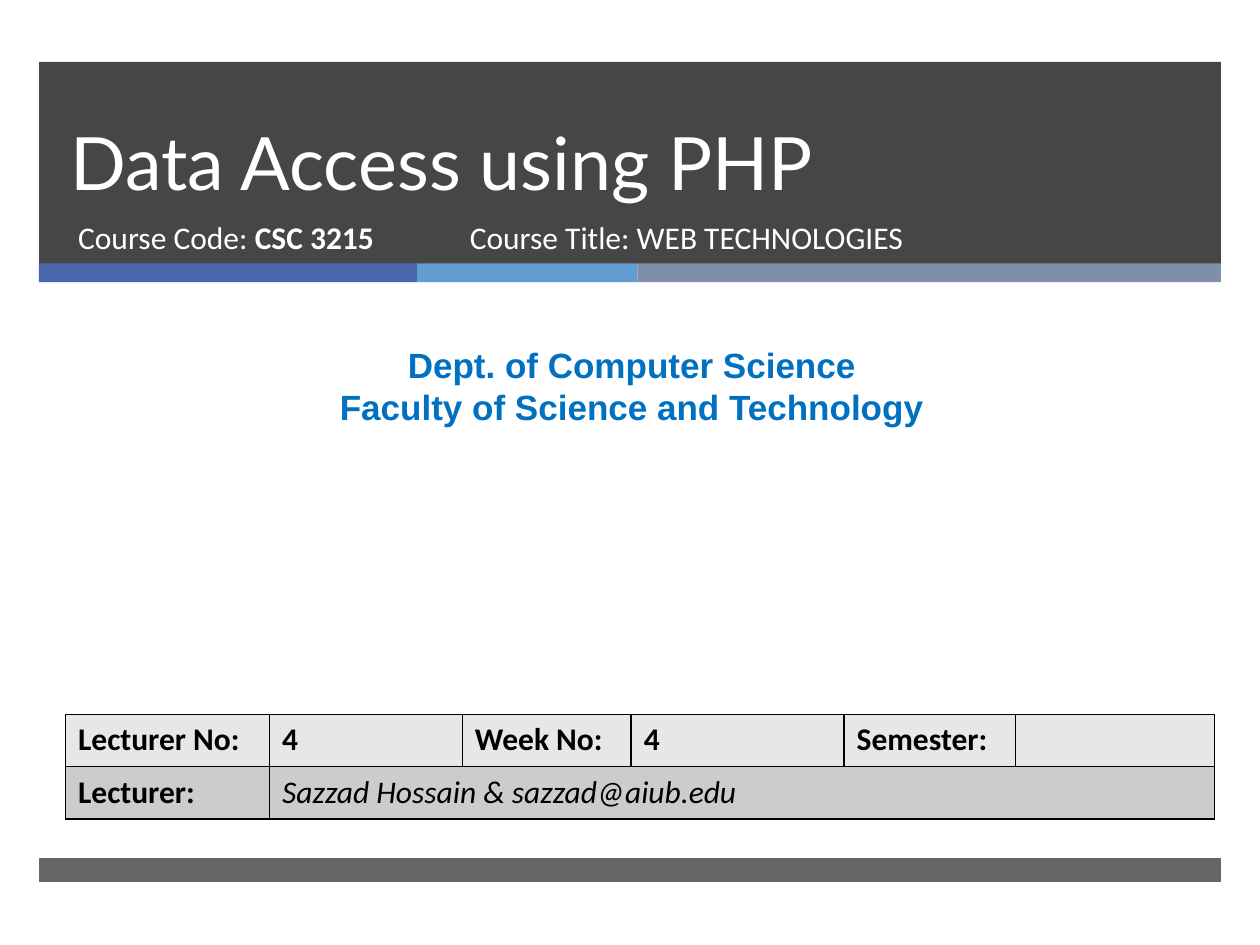
"""Build the title slide of a lecture on data access with PHP."""
import pptx
import pptx.dml.color
import pptx.enum.shapes
import pptx.enum.text
import pptx.oxml
import pptx.oxml.ns
import pptx.util
from pptx.util import Inches

HUES = {"dark": "262626", "blue": "4A66AC", "sky": "629DD1", "slate": "7F8FA9",
        "white": "FFFFFF", "black": "000000", "head": "0070C0",
        "light": "E7E7E7", "grey": "CCCCCC"}
NS = pptx.oxml.ns.nsdecls("a")
ALIGN = pptx.enum.text.PP_ALIGN


def tint(name):
    return pptx.dml.color.RGBColor.from_string(HUES[name])


def style(para, face, size, hue, bold=None, align=ALIGN.LEFT):
    para.alignment = align
    para.space_before = pptx.util.Pt(0)
    font = para.font
    font.name, font.size, font.bold = face, pptx.util.Pt(size), bold
    font.color.rgb = tint(hue)


deck = pptx.Presentation()
deck.slide_width, deck.slide_height = Inches(10), Inches(7.5)
slide = deck.slides.add_slide(deck.slide_layouts[0])
shapes = slide.shapes

bars = [(0.31, 0.49, 9.38, 1.61, "dark", 85), (0.31, 2.09, 3, 0.15, "blue", 100),
        (3.31, 2.09, 1.75, 0.15, "sky", 100), (5.06, 2.09, 4.63, 0.15, "slate", 100),
        (0.31, 6.81, 9.38, 0.19, "dark", 70)]
for spot, (*box, hue, alpha) in enumerate(bars, 2):
    bar = shapes.add_shape(pptx.enum.shapes.MSO_SHAPE.RECTANGLE, *map(Inches, box))
    bar.shadow.inherit = False
    bar.fill.solid()
    bar.fill.fore_color.rgb = tint(hue)
    bar.line.fill.background()
    if alpha < 100:
        color = bar.fill._xPr.find(".//" + pptx.oxml.ns.qn("a:srgbClr"))
        color.append(pptx.oxml.parse_xml(f'<a:alpha {NS} val="{alpha * 1000}"/>'))
    shapes._spTree.insert(spot, bar._element)

title, code = shapes.title, slide.placeholders[1]
dept = shapes.add_textbox(0, 0, 0, 0)
course = shapes.add_textbox(0, 0, 0, 0)
places = [(title, 0.46, 0.49, 8.54, 1.19), (code, 0.52, 1.68, 3.05, 0.53),
          (dept, 0.08, 2.68, 9.87, 0.77), (course, 3.63, 1.68, 4.55, 0.53)]
for shape, *box in places:
    shape.left, shape.top, shape.width, shape.height = map(Inches, box)
    frame = shape.text_frame
    frame.word_wrap = True
    frame.auto_size = pptx.enum.text.MSO_AUTO_SIZE.NONE
    frame.vertical_anchor = pptx.enum.text.MSO_ANCHOR.TOP

title.text_frame.text = "Data Access using PHP"
title.text_frame.vertical_anchor = pptx.enum.text.MSO_ANCHOR.BOTTOM
line = title.text_frame.paragraphs[0]
style(line, "Lato", 42, "white")
line.line_spacing = pptx.util.Pt(46)

line = code.text_frame.paragraphs[0]
line.add_run().text = "Course Code: "
bold = line.add_run()
bold.text = "CSC 3215"
bold.font.bold = True
style(line, "Calibri", 18, "white")

course.text_frame.text = "Course Title: WEB TECHNOLOGIES"
style(course.text_frame.paragraphs[0], "Calibri", 18, "white")

dept.text_frame.text = "Dept. of Computer Science\nFaculty of Science and Technology"
dept.text_frame.auto_size = pptx.enum.text.MSO_AUTO_SIZE.SHAPE_TO_FIT_TEXT
for line in dept.text_frame.paragraphs:
    style(line, "Arial", 20, "head", True, ALIGN.CENTER)

rows = [["Lecturer No:", "4", "Week No:", "4", "Semester:", ""],
        ["Lecturer:", "Sazzad Hossain & sazzad@aiub.edu", "", "", "", ""]]
grid = shapes.add_table(2, 6, Inches(0.52), Inches(5.67), Inches(9.12), Inches(0.83)).table
for col, width in zip(grid.columns, [1.62, 1.53, 1.34, 1.69, 1.36, 1.58]):
    col.width = Inches(width)
for r, (texts, hue) in enumerate(zip(rows, ["light", "grey"])):
    for c, text in enumerate(texts):
        cell = grid.cell(r, c)
        cell.text = text
        style(cell.text_frame.paragraphs[0], "Calibri", 18, "black", True)
        props = cell._tc.get_or_add_tcPr()
        for side in ("lnL", "lnR", "lnT", "lnB"):
            props.append(pptx.oxml.parse_xml(
                f'<a:{side} {NS} w="12700"><a:solidFill><a:srgbClr val="{HUES["black"]}"/>'
                f'</a:solidFill></a:{side}>'))
        cell.fill.solid()
        cell.fill.fore_color.rgb = tint(hue)
name = grid.cell(1, 1)
name.merge(grid.cell(1, 5))
font = name.text_frame.paragraphs[0].font
font.bold, font.italic = False, True

deck.save("out.pptx")
